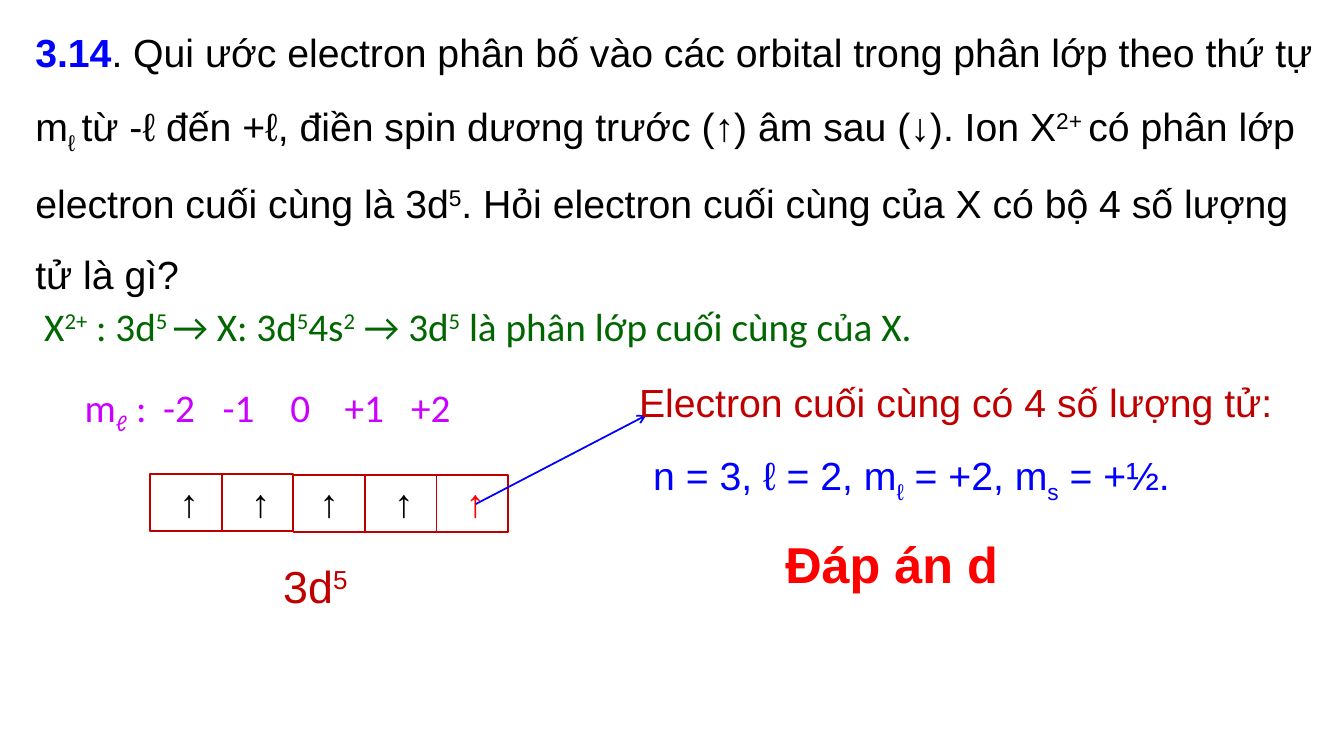
from lxml.etree import SubElement
from pptx import Presentation
from pptx.dml.color import RGBColor
from pptx.enum.shapes import MSO_CONNECTOR as CONNECTOR, MSO_SHAPE as SHAPE
from pptx.enum.text import MSO_ANCHOR as ANCHOR, MSO_AUTO_SIZE as AUTO_SIZE, PP_ALIGN as ALIGN
from pptx.oxml.ns import qn
from pptx.util import Inches, Pt

COLORS = {"black": "000000", "blue": "0000FF", "green": "006600",
          "violet": "CC00FF", "dark_red": "C00000", "red": "FF0000"}
SUB, SUPER = -25000, 30000


def color(name):
    return RGBColor.from_string(COLORS[name])


def write(frame, runs, tint, size=28, name="Arial", bold=False):
    """Fill a frame with runs: plain strings or (text, baseline) pairs."""
    for key, value in {"word_wrap": True, "auto_size": AUTO_SIZE.NONE,
                       "vertical_anchor": ANCHOR.TOP}.items():
        setattr(frame, key, value)
    paragraph = frame.paragraphs[0]
    paragraph.alignment = ALIGN.LEFT
    for part in runs:
        text, baseline = (part, 0) if isinstance(part, str) else part
        run = paragraph.add_run()
        run.text = text
        for key, value in {"size": Pt(size), "name": name, "bold": bold}.items():
            setattr(run.font, key, value)
        run.font.color.rgb = color(tint)
        if baseline:
            run._r.get_or_add_rPr().set("baseline", str(baseline))
    return paragraph


def add_text(slide, box, runs, tint, **style):
    label = slide.shapes.add_textbox(*map(Inches, box))
    return write(label.text_frame, runs, tint, **style)


def add_question(slide, box):
    question = slide.shapes.title
    question.left, question.top, question.width, question.height = map(Inches, box)
    paragraph = write(question.text_frame, [
        "3.14",
        ". Qui ước electron phân bố vào các orbital trong phân lớp theo thứ tự m",
        ("ℓ ", SUB), "từ -ℓ đến +ℓ, điền spin dương trước (↑) âm sau (↓). Ion X",
        ("2+ ", SUPER), "có phân lớp electron cuối cùng là 3d", ("5", SUPER),
        ". Hỏi electron cuối cùng của X có bộ 4 số lượng tử là gì?"], "black")
    paragraph.line_spacing = 1.5
    number = paragraph.runs[0].font
    number.bold = True
    number.color.rgb = color("blue")


def add_configuration(slide, box):
    add_text(slide, box, [
        "X", ("2+", SUPER), " : 3d", ("5 ", SUPER), "→ X: 3d", ("5", SUPER),
        "4s", ("2", SUPER), " → 3d", ("5", SUPER),
        " là phân lớp cuối cùng của X."], "green", name="Calibri")


def add_orbitals(slide, box):
    left, top, width, height = box

    # Magnetic quantum numbers, aligned on tab stops
    numbers = add_text(slide, (left, top, width, 0.57),
                       ["m", ("ℓ", SUB), " :\t-2\t-1\t0\t+1\t+2"],
                       "violet", name="Calibri")
    tabs = SubElement(numbers._p.get_or_add_pPr(), qn("a:tabLst"))
    for stop in (0.78, 1.37, 2.04, 2.58, 3.24):
        SubElement(tabs, qn("a:tab"), pos=str(Inches(stop)), algn="l")

    # Five orbital cells, each with one spin arrow
    side, cell_height = 0.71, 0.57
    spin_offsets = (0.19, 0.19, 0.16, 0.19, 0.19)
    cells_left, cells_top = left + 0.75, top + 0.95
    for index in range(len(spin_offsets)):
        drop = 0.01 if index > 1 else 0
        cell = slide.shapes.add_shape(SHAPE.RECTANGLE, *map(Inches, (
            cells_left + index * side, cells_top + drop, side, cell_height)))
        cell.shadow.inherit = False
        cell.fill.background()
        cell.line.color.rgb = color("dark_red")
        cell.line.width = Pt(1.25)
    for index, offset in enumerate(spin_offsets):
        add_text(slide, (cells_left + index * side + offset, cells_top, 0.33, cell_height),
                 ["↑"], "red" if index == 4 else "black", bold=True)

    # Subshell name
    add_text(slide, (left + 1.97, top + height - 0.64, 1.11, 0.64),
             ["3d", ("5", SUPER)], "dark_red", size=32)


def add_pointer(slide, start, end):
    pointer = slide.shapes.add_connector(CONNECTOR.STRAIGHT, *map(Inches, start + end))
    pointer.line.color.rgb = color("blue")
    pointer.line.width = Pt(1.25)
    SubElement(pointer.line._get_or_add_ln(), qn("a:tailEnd"), type="arrow")
    SubElement(pointer._element.spPr, qn("a:effectLst"))


def add_answer(slide, box):
    left, top, width, height = box
    add_text(slide, (left, top, width, 0.57),
             ["Electron cuối cùng có 4 số lượng tử:"], "dark_red")
    add_text(slide, (left + 0.14, top + 0.73, 5.57, 0.57),
             ["n = 3, ℓ = 2, m", ("ℓ", SUB), " = +2, m", ("s", SUB), " = +½."], "blue")
    add_text(slide, (left + 1.45, top + height - 1.01, 2.5, 1.01),
             ["Đáp án d"], "red", size=36, bold=True)


def main():
    deck = Presentation()
    deck.slide_width, deck.slide_height = Inches(13.33), Inches(7.5)
    slide = deck.slides.add_slide(deck.slide_layouts[5])
    add_question(slide, (0.25, 0, 12.91, 3.23))
    add_configuration(slide, (0.34, 2.95, 10.81, 0.57))
    add_orbitals(slide, (0.74, 3.75, 4.65, 2.38))
    add_pointer(slide, (4.72, 5), (6.41, 4.12))
    add_answer(slide, (6.24, 3.7, 6.72, 2.55))
    deck.save("out.pptx")


if __name__ == "__main__":
    main()
